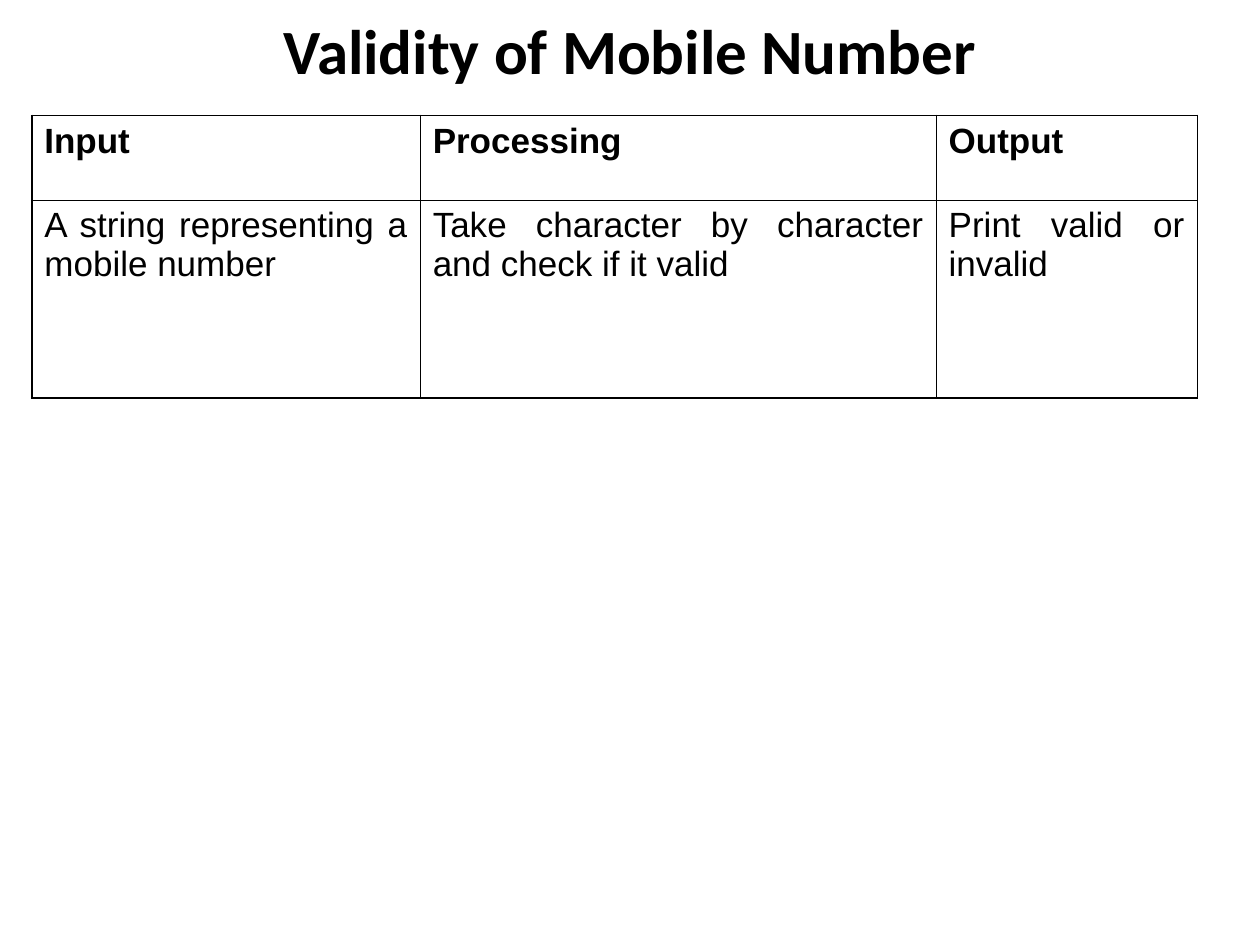
import pptx
import pptx.dml.color
import pptx.enum.text
import pptx.util
import lxml.etree
from pptx.oxml.ns import qn

Cm, Pt = pptx.util.Cm, pptx.util.Pt
ALIGN = pptx.enum.text.PP_ALIGN
ANCHOR = pptx.enum.text.MSO_ANCHOR

# Content
HEADING = "Validity of Mobile Number"
STEPS = [
    ("Input", "Processing", "Output"),
    (
        "A string representing a mobile number",
        "Take character by character and check if it valid",
        "Print valid or invalid",
    ),
]

# Layout in centimetres
HEADING_BOX = (1.27, 0.18, 22.86, 1.63)
TABLE_LEFT, TABLE_TOP = 0.64, 2.33
COLUMN_WIDTHS = (7.83, 10.4, 5.26)
ROW_HEIGHTS = (1.7, 3.99)

THEME = {
    "ink": "000000",
    "heading_font": "Calibri",
    "heading_size": 36,
    "body_font": "Arial",
    "body_size": 20,
    "outer_line": 1.08,
    "inner_line": 0.45,
}


def write(frame, text, role, bold, alignment):
    paragraph = frame.paragraphs[0]
    paragraph.text = text
    paragraph.alignment = alignment
    paragraph.font.name = THEME[f"{role}_font"]
    paragraph.font.size = Pt(THEME[f"{role}_size"])
    paragraph.font.bold = bold
    paragraph.font.color.rgb = pptx.dml.color.RGBColor.from_string(THEME["ink"])


def add_border(cell, side, weight):
    properties = cell._tc.get_or_add_tcPr()
    line = lxml.etree.SubElement(properties, qn(f"a:ln{side}"), w=str(int(Pt(weight))))
    fill = lxml.etree.SubElement(line, qn("a:solidFill"))
    lxml.etree.SubElement(fill, qn("a:srgbClr"), val=THEME["ink"])


def add_heading(slide):
    box = slide.shapes.add_textbox(*map(Cm, HEADING_BOX))
    box.text_frame.word_wrap = True
    box.text_frame.vertical_anchor = ANCHOR.MIDDLE
    write(box.text_frame, HEADING, "heading", True, ALIGN.CENTER)


def add_steps(slide):
    table = slide.shapes.add_table(
        len(STEPS), len(COLUMN_WIDTHS), Cm(TABLE_LEFT), Cm(TABLE_TOP),
        Cm(sum(COLUMN_WIDTHS)), Cm(sum(ROW_HEIGHTS)),
    ).table
    table.first_row = table.horz_banding = False
    for column, width in zip(table.columns, COLUMN_WIDTHS):
        column.width = Cm(width)
    for row, height in zip(table.rows, ROW_HEIGHTS):
        row.height = Cm(height)

    for r, texts in enumerate(STEPS):
        for c, text in enumerate(texts):
            cell = table.cell(r, c)
            write(cell.text_frame, text, "body", r == 0, ALIGN.JUSTIFY)
            # The left, top and bottom edges of the table are heavier
            heavy = {"L": c == 0, "R": False, "T": r == 0, "B": r == len(STEPS) - 1}
            for side, is_outer in heavy.items():
                add_border(cell, side, THEME["outer_line" if is_outer else "inner_line"])
            cell.fill.background()


def main():
    deck = pptx.Presentation()
    deck.slide_width, deck.slide_height = Cm(25.4), Cm(19.05)
    slide = deck.slides.add_slide(deck.slide_layouts[6])
    add_heading(slide)
    add_steps(slide)
    deck.save("out.pptx")


if __name__ == "__main__":
    main()
